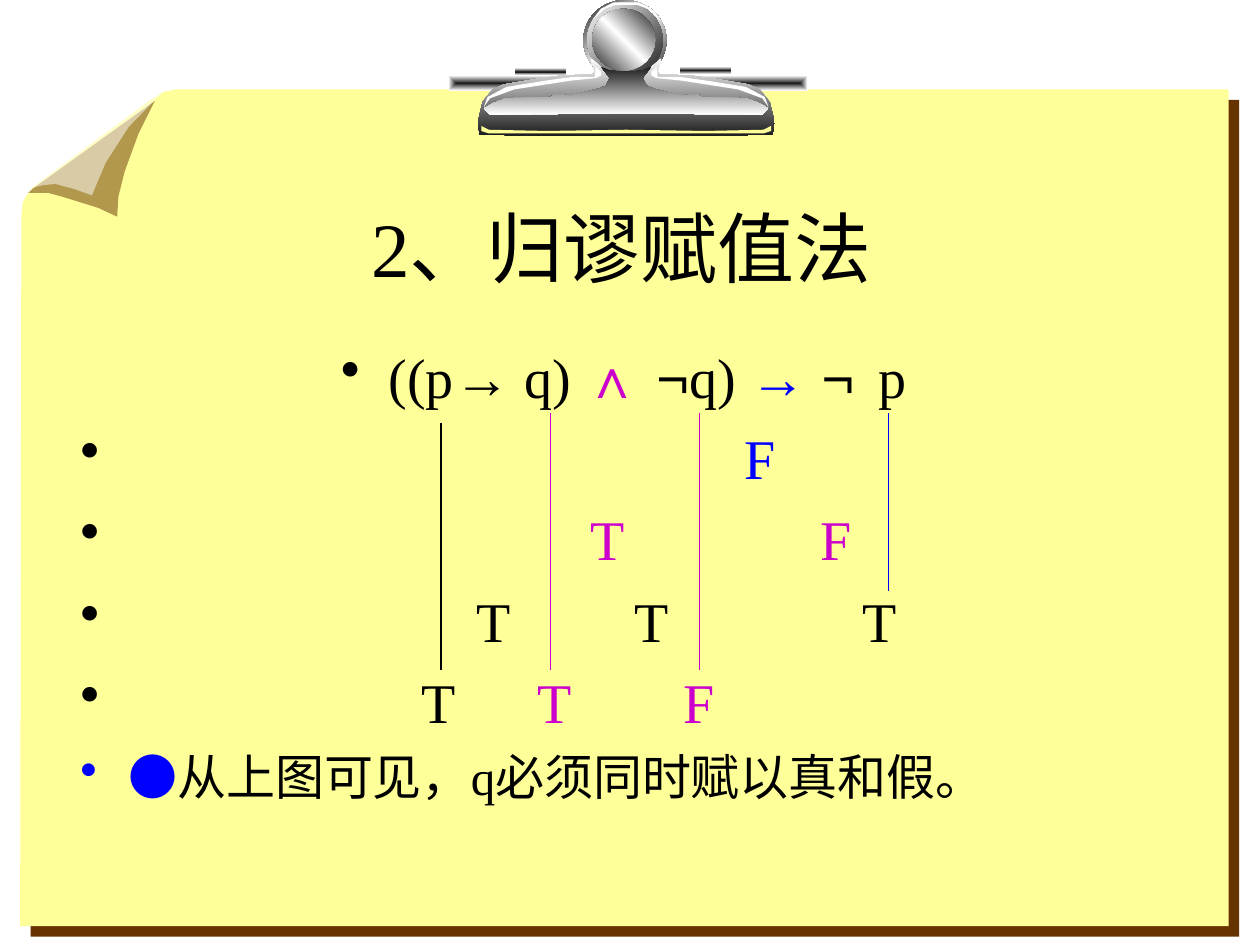
"""Build the clipboard slide on assigning truth values by reductio."""
from lxml.etree import SubElement
from pptx import Presentation
from pptx.dml.color import RGBColor
from pptx.enum.shapes import MSO_CONNECTOR as Link, MSO_SHAPE as Kind
from pptx.enum.text import MSO_ANCHOR as Anchor, PP_ALIGN as Align
from pptx.oxml.ns import qn
from pptx.util import Pt

PX = 9144
MID = 497
BLACK = RGBColor(0x00, 0x00, 0x00)
WHITE = RGBColor(0xFF, 0xFF, 0xFF)
DARK = RGBColor(0x1C, 0x1C, 0x1C)
PAPER = RGBColor(0xFF, 0xFF, 0x99)
BROWN = RGBColor(0x66, 0x33, 0x00)
BLUE = RGBColor(0x00, 0x00, 0xFF)
PINK = RGBColor(0xCC, 0x00, 0xCC)
SERIF, SANS = "Times New Roman", "Arial"

deck = Presentation()
deck.slide_width, deck.slide_height = 1000 * PX, 750 * PX
shapes = deck.slides.add_slide(deck.slide_layouts[5]).shapes


def flip(points):
    return [(2 * MID - x, y) for x, y in reversed(points)]


def draw(form, tones, angle=None):
    if isinstance(form, list):
        pen = shapes.build_freeform(*form[0], scale=PX)
        pen.add_line_segments(form[1:], close=True)
        item = pen.convert_to_shape()
    else:
        kind, *box = form
        item = shapes.add_shape(kind, *[n * PX for n in box])
    item.shadow.inherit = False
    item.line.fill.background()
    if len(tones) == 1:
        item.fill.solid()
        item.fill.fore_color.rgb = tones[0]
        return item
    item.fill.background()
    props = item._element.spPr
    grad = SubElement(props, qn("a:gradFill"), rotWithShape="1")
    props.replace(props.find(qn("a:noFill")), grad)
    stops = SubElement(grad, qn("a:gsLst"))
    for i, color in enumerate(tones):
        stop = SubElement(stops, qn("a:gs"), pos=str(100000 * i // (len(tones) - 1)))
        SubElement(stop, qn("a:srgbClr"), val=str(color))
    if angle is None:
        way = SubElement(grad, qn("a:path"), path="rect")
        SubElement(way, qn("a:fillToRect"), dict.fromkeys("ltrb", "50000"))
    else:
        SubElement(grad, qn("a:lin"), ang=str(angle * 60000), scaled="0")
    return item


sheet = [(135, 72), (139, 71), (975, 71), (975, 735), (16, 735), (17, 171),
         (18, 161), (22, 153), (27, 148), (119, 80), (130, 73)]
note = draw(sheet, [PAPER])
effect = note._element.spPr.find(qn("a:effectLst"))
shade = SubElement(effect, qn("a:outerShdw"), dist=str(Pt(8.5)), dir="2700000",
                   algn="ctr", rotWithShape="0")
SubElement(shade, qn("a:srgbClr"), val=str(BROWN))

fold = [(49, 156), (78, 165), (93, 172), (94, 156), (99, 136), (110, 106),
        (123, 80), (27, 149), (22, 153), (38, 153)]
curl = [(21, 156), (23, 151), (31, 145), (128, 74), (102, 101), (84, 129),
        (73, 155), (59, 150), (44, 146), (34, 147), (26, 149)]
for form, color in ((fold, BROWN), (curl, WHITE)):
    flap = draw(form, [color])
    paint = flap._element.spPr.find(qn("a:solidFill"))[0]
    SubElement(paint, qn("a:alpha"), val="50000")

glint = [(MID, 2), (487, 2), (477, 7), (470, 16), (480, 7), (488, 4), (MID, 4)]
clip = [(MID, 59), (485, 58), (478, 54), (469, 46), (472, 57), (470, 59), (445, 60),
        (424, 63), (400, 67), (391, 71), (383, 81), (379, 98), (381, 107), (MID, 108)]
sheen = [(MID, 57), (484, 56), (477, 53), (484, 62), (481, 68), (476, 70), (452, 76),
         (441, 74), (437, 77), (401, 78), (391, 82), (384, 86), (389, 91), (MID, 90)]
rim = [(MID, 103), (434, 104), (388, 103), (382, 100), (382, 104), (388, 106), (MID, 106)]
gleam = [(384, 85), (387, 77), (402, 69), (433, 64), (455, 61), (472, 61), (473, 53),
         (477, 57), (477, 60), (473, 62), (453, 64), (408, 71), (389, 78)]

plate = (DARK, WHITE)
band = (WHITE, DARK, WHITE)
metal = (DARK, WHITE, DARK)
for form, tones, angle in (
    ((Kind.RECTANGLE, 356, 60, 285, 12), plate, None),
    ((Kind.RECTANGLE, 409, 54, 40, 6), band, 90),
    ((Kind.RECTANGLE, 540, 53, 40, 6), band, 90),
    ((Kind.OVAL, 463, 0, 66, 64), metal, 225),
    ((Kind.OVAL, 466, 2, 60, 60), plate, 225),
    (glint + flip(glint), [WHITE], None),
    ((Kind.OVAL, 470, 7, 50, 49), metal, 135),
    (clip + flip(clip), (WHITE, DARK), 90),
    (gleam, [WHITE], None),
    (rim + flip(rim), [PAPER], None),
    (sheen + flip(sheen), plate, 90),
    (flip(gleam), [WHITE], None),
):
    draw(form, tones, angle)

title = shapes.title
shapes._spTree.append(title._element)
title.left, title.top, title.width, title.height = [n * PX for n in (52, 133, 883, 125)]
title.text_frame.vertical_anchor = Anchor.MIDDLE
head = title.text_frame.paragraphs[0]
head.text = "2、归谬赋值法"
head.alignment = Align.CENTER
head.font.name, head.font.size, head.font.color.rgb = SERIF, Pt(44), BLACK

formula = (("((p", BLACK, SERIF), ("→", BLACK, SANS), (" q) ", BLACK, SERIF),
           ("∧ ", PINK, SANS), ("¬", BLACK, SANS), ("q) ", BLACK, SERIF),
           ("→ ", BLUE, SANS), ("¬ ", BLACK, SANS), ("p", BLACK, SERIF))
steps = (
    ((539, "F", BLUE),),
    ((418, "T", PINK), (600, "F", PINK)),
    ((328, "T", BLACK), (453, "T", BLACK), (634, "T", BLACK)),
    ((284, "T", BLACK), (376, "T", PINK), (491, "F", PINK)),
)
result = (("●", BLUE, SERIF), ("从上图可见，q必须同时赋以真和假。", BLACK, SERIF))

rows = [((), formula, 38, 32, 0, BLACK)]
for step in steps:
    marks = [("\t" + mark, color, SERIF) for x, mark, color in step]
    rows.append(([x for x, mark, color in step], marks, 0, 32, 8, BLACK))
rows.append(((), result, 38, 28, 7, BLUE))

body = shapes.add_textbox(*[n * PX for n in (54, 267, 882, 383)]).text_frame
body.word_wrap = True
for i, (stops, spans, hang, size, gap, dot) in enumerate(rows):
    para = body.add_paragraph() if i else body.paragraphs[0]
    props = para._p.get_or_add_pPr()
    props.set("marL", str(hang * PX))
    props.set("indent", str(-hang * PX))
    tint = SubElement(props, qn("a:buClr"))
    SubElement(tint, qn("a:srgbClr"), val=str(dot))
    SubElement(props, qn("a:buChar"), char="•")
    if stops:
        tabs = SubElement(props, qn("a:tabLst"))
        for x in stops:
            SubElement(tabs, qn("a:tab"), pos=str(x * PX), algn="ctr")
    para.font.size = Pt(size)
    if gap:
        para.space_before = Pt(gap)
    for text, color, face in spans:
        run = para.add_run()
        run.text = text
        run.font.name, run.font.color.rgb = face, color

top = body.paragraphs[0]
top.alignment = Align.CENTER
top.runs[-2].font._element.set("spc", "250")

for x, y, foot, color in ((350, 336, 532, BLACK), (437, 328, 532, PINK),
                          (555, 328, 532, PINK), (705, 328, 469, BLUE)):
    guide = shapes.add_connector(Link.STRAIGHT, x * PX, y * PX, x * PX, foot * PX)
    guide.line.color.rgb, guide.line.width = color, Pt(0.75)
    SubElement(guide._element.spPr, qn("a:effectLst"))

deck.save("out.pptx")
